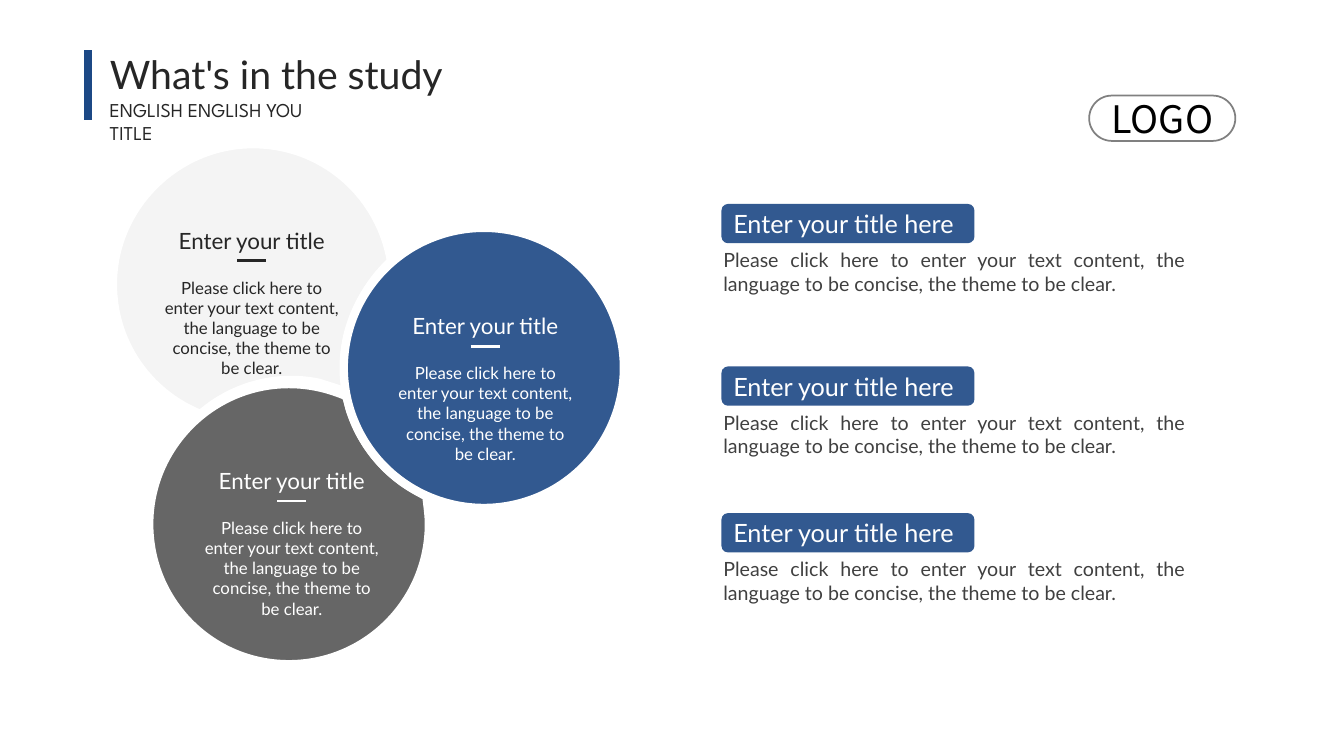
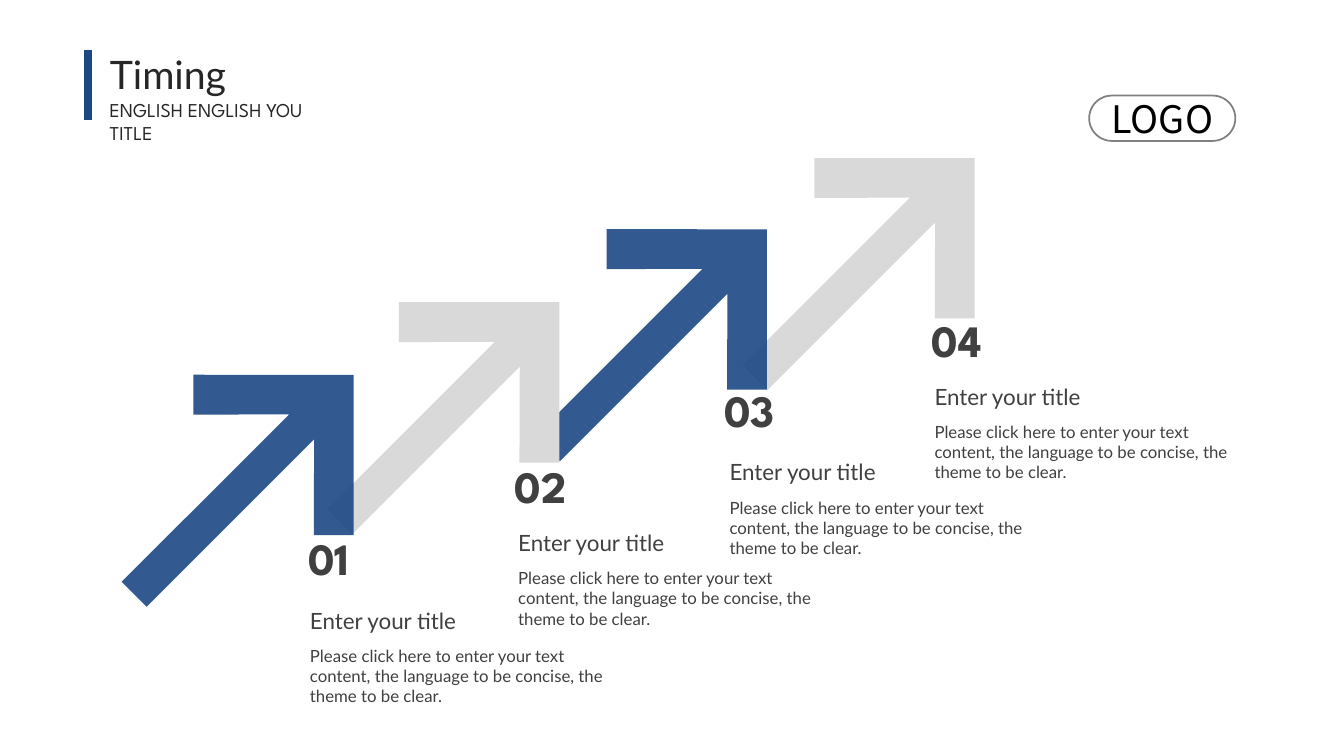
import lxml.etree
import pptx
import pptx.dml.color
import pptx.enum.shapes
import pptx.enum.text
import pptx.oxml.ns
import pptx.util

# Grid: 133.33 columns by 75 rows of square cells
WIDE, HIGH = 133.33, 75
CELL = pptx.util.Inches(0.1)

# Colours and fonts
BLUE, INK, TEXT, PALE, WHITE = "1C4885", "262626", "404040", "F2F2F2", "FFFFFF"
GREY, RIM, BLACK = "D9D9D9", "808080", "000000"
SANS, HEAD, MARK = "Lato", "League Spartan", "Noto Sans CJK SC"

ALIGN = pptx.enum.text.PP_ALIGN
LEFT, MID, FULL = ALIGN.LEFT, ALIGN.CENTER, ALIGN.JUSTIFY
TOP = pptx.enum.text.MSO_ANCHOR.TOP
CENTRE = pptx.enum.text.MSO_ANCHOR.MIDDLE
FIT = pptx.enum.text.MSO_AUTO_SIZE
FORM = pptx.enum.shapes.MSO_SHAPE

TITLE = "Enter your title"
BODY = ("Please click here to enter your text content, "
        "the language to be concise, the theme to be clear.")

# Cut discs: each leg is one point (line) or three points (curve)
LIGHT = [
    [(25.1, 14.3)],
    [(31.9, 14.3), (37.4, 19.1), (38.7, 25.4)],
    [(38.8, 25.9)],
    [(38.4, 26.3)],
    [(35.9, 28.8), (34.3, 32.3), (34.3, 36.1)],
    [(34.3, 36.6), (34.4, 37), (34.4, 37.5)],
    [(34.6, 38.4)],
    [(34.2, 38.8)],
    [(31.7, 38)],
    [(30.8, 37.8), (29.9, 37.7), (28.9, 37.7)],
    [(25.6, 37.7), (22.5, 38.9), (20.1, 40.9)],
    [(19.9, 41.1)],
    [(19.7, 41)],
    [(14.7, 38.9), (11.2, 34), (11.2, 28.2)],
    [(11.2, 20.6), (17.5, 14.3), (25.1, 14.3)],
]
DARK = [
    [(28.65, 38.1)],
    [(30.6, 38.1), (32.4, 38.5), (34.1, 39.2)],
    [(34.4, 39.4)],
    [(34.7, 40.6)],
    [(35.8, 44.1), (38.2, 47), (41.3, 48.7)],
    [(42.2, 49.2)],
    [(42.3, 49.2)],
    [(42.4, 50.1), (42.55, 51.1), (42.55, 52)],
    [(42.55, 59.7), (36.3, 65.9), (28.65, 65.9)],
    [(21, 65.9), (14.8, 59.7), (14.8, 52)],
    [(14.8, 44.4), (21, 38.1), (28.65, 38.1)],
]


def size(cells):
    return pptx.util.Emu(round(cells * CELL))


def box(*cells):
    return [size(c) for c in cells]


def tint(code):
    return pptx.dml.color.RGBColor.from_string(code)


def write(frame, words, points, color, font=SANS, align=LEFT, bold=False,
          anchor=TOP, fit=FIT.NONE):
    frame.word_wrap = True
    frame.auto_size = fit
    frame.vertical_anchor = anchor
    para = frame.paragraphs[0]
    para.alignment = align
    run = para.add_run()
    run.text = words
    run.font.size = pptx.util.Pt(points)
    run.font.name = font
    run.font.bold = bold
    run.font.color.rgb = tint(color)


def label(slide, place, words, points, color, **style):
    frame = slide.shapes.add_textbox(*box(*place)).text_frame
    write(frame, words, points, color, fit=FIT.SHAPE_TO_FIT_TEXT, **style)


def paint(shape, fill=None, alpha=100, edge=None, weight=0):
    shape.shadow.inherit = False
    if fill:
        shape.fill.solid()
        shape.fill.fore_color.rgb = tint(fill)
        if alpha < 100:
            name = pptx.oxml.ns.qn("a:srgbClr")
            code = next(shape._element.spPr.iter(name))
            lxml.etree.SubElement(code, pptx.oxml.ns.qn("a:alpha"),
                                  val=str(alpha * 1000))
    else:
        shape.fill.background()
    if edge:
        shape.line.color.rgb = tint(edge)
        shape.line.width = pptx.util.Pt(weight)
    else:
        shape.line.fill.background()


def rule(slide, start, end, color, weight):
    kind = pptx.enum.shapes.MSO_CONNECTOR.STRAIGHT
    line = slide.shapes.add_connector(kind, *box(*start, *end))
    line.line.color.rgb = tint(color)
    line.line.width = pptx.util.Pt(weight)
    lxml.etree.SubElement(line._element.spPr, pptx.oxml.ns.qn("a:effectLst"))


def trace(slide, points):
    spots = [box(*p) for p in points]
    maker = slide.shapes.build_freeform(*spots[0], scale=1.0)
    maker.add_line_segments(spots[1:], close=True)
    return maker.convert_to_shape()


def bend(slide, legs):
    """Outline of lines and curves: triples of points become curves."""
    shape = trace(slide, [p for leg in legs for p in leg])
    name = pptx.oxml.ns.qn
    lines = iter(list(shape._element.spPr.iter(name("a:lnTo"))))
    for leg in legs[1:]:
        group = [next(lines) for _ in leg]
        if len(group) == 3:
            curve = lxml.etree.Element(name("a:cubicBezTo"))
            group[0].addprevious(curve)
            for line in group:
                curve.append(line[0])
                line.getparent().remove(line)
    return shape


def start(deck, title, width):
    """Slide with the shared bar, title, subtitle and badge."""
    slide = deck.slides.add_slide(deck.slide_layouts[5])
    head = slide.shapes.title
    head.left, head.top, head.width, head.height = box(9.9, 4.5, width, 5.7)
    write(head.text_frame, title, 28, INK)
    label(slide, (9.9, 9.2, 24.6, 3.4), "ENGLISH ENGLISH YOU TITLE", 14, INK,
          font=HEAD)
    rule(slide, (8.73, 5), (8.73, 11.9), BLUE, 6)
    badge = slide.shapes.add_shape(FORM.ROUNDED_RECTANGLE,
                                   *box(108.05, 9.48, 14.5, 4.5))
    badge.adjustments[0] = 0.5
    paint(badge, edge=RIM, weight=1.25)
    write(badge.text_frame, "LOGO", 27, BLACK, font=MARK, align=MID,
          anchor=CENTRE)
    return slide


def caption(slide, x, y, color):
    """Centred title, short rule and text inside a disc."""
    label(slide, (x - 12.15, y, 24.3, 3.7), TITLE, 16, color, align=MID)
    label(slide, (x - 9.75, y + 5.03, 19.5, 7.1), BODY, 12, color, align=MID)
    rule(slide, (x - 1.45, y + 3.87), (x + 1.45, y + 3.87), color, 2)


def entry(slide, y):
    """Blue tag with a paragraph under it."""
    label(slide, (70.77, y + 3.9, 47.8, 5.7), BODY, 14, TEXT, align=FULL)
    tag = slide.shapes.add_shape(FORM.ROUNDED_RECTANGLE,
                                 *box(71.57, y, 25.1, 3.9))
    paint(tag, BLUE, 90)
    write(tag.text_frame, TITLE + " here", 18, WHITE, align=FULL,
          anchor=CENTRE)


def arrow(slide, x, y, color, alpha):
    """Arrow about a centre, drawn level and then turned to climb."""
    half = [(-4.15, 11.25), (-12.6, 2.8), (-15.4, 0)]
    barb = [(-8.1, 1.75), (-1.35, 8.45)]
    tail = (15.4, 1.75)
    points = (half + [(px, -py) for px, py in reversed(half[:2])]
              + [(px, -py) for px, py in reversed(barb)]
              + [(tail[0], -tail[1]), tail] + barb)
    shape = trace(slide, [(x + dx, y + dy) for dx, dy in points])
    shape.rotation = 135
    paint(shape, color, alpha)


def study(deck):
    slide = start(deck, "What's in the study", 48)
    # Three discs, back to front
    paint(bend(slide, LIGHT), PALE, 80, WHITE, 6)
    paint(bend(slide, DARK), TEXT, 80, WHITE, 6)
    front = slide.shapes.add_shape(FORM.OVAL, *box(34.1, 22.6, 27.8, 27.8))
    paint(front, BLUE, 90, WHITE, 6)
    for x, y, color in [(24.98, 22, INK), (28.95, 45.83, WHITE),
                        (48.15, 30.47, WHITE)]:
        caption(slide, x, y, color)
    # Tagged paragraphs
    for y in (20.23, 36.35, 50.9):
        entry(slide, y)


def timing(deck):
    slide = start(deck, "Timing", 27.8)
    # Arrow centres, last one at the back
    spots = [(24.2, 48.07), (44.6, 40.87), (65.2, 33.63), (85.8, 26.57)]
    for step, (x, y) in reversed(list(enumerate(spots))):
        color, alpha = (GREY, 100) if step % 2 else (BLUE, 90)
        arrow(slide, x, y, color, alpha)
    # Numbers and notes: number x, y, then title x, y
    steps = [(29.6, 52.15, 29.77, 59.7), (50.1, 45, 50.43, 52),
             (70.87, 37.5, 71.4, 45), (91.45, 30.5, 91.73, 37.5)]
    for count, (nx, ny, x, y) in enumerate(steps, 1):
        label(slide, (nx, ny, 8.1, 6.4), f"{count:02d}", 32, TEXT,
              font=HEAD, bold=True)
        label(slide, (x, y, 24.3, 3.7), TITLE, 16, TEXT)
        label(slide, (x, y + 3.86, 31.3, 5), BODY, 12, TEXT)


def main():
    deck = pptx.Presentation()
    deck.slide_width, deck.slide_height = box(WIDE, HIGH)
    study(deck)
    timing(deck)
    deck.save("out.pptx")


if __name__ == "__main__":
    main()
